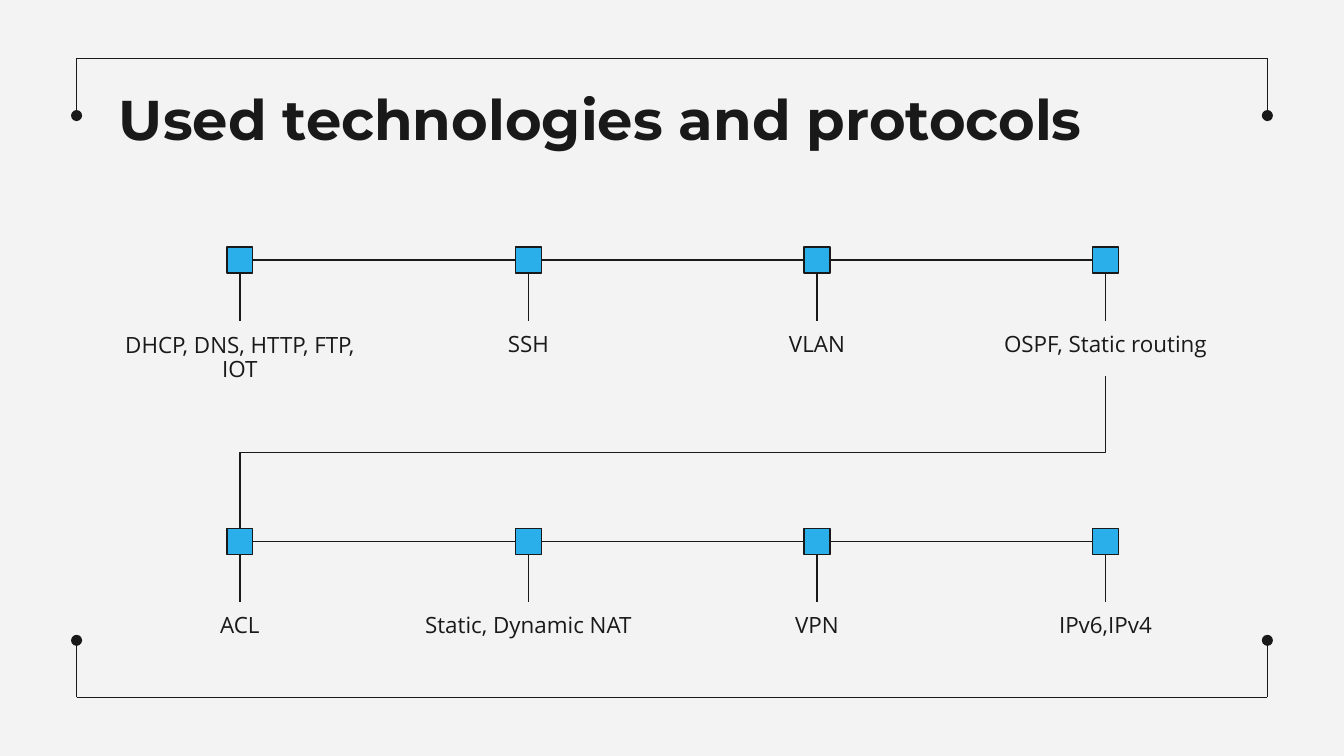
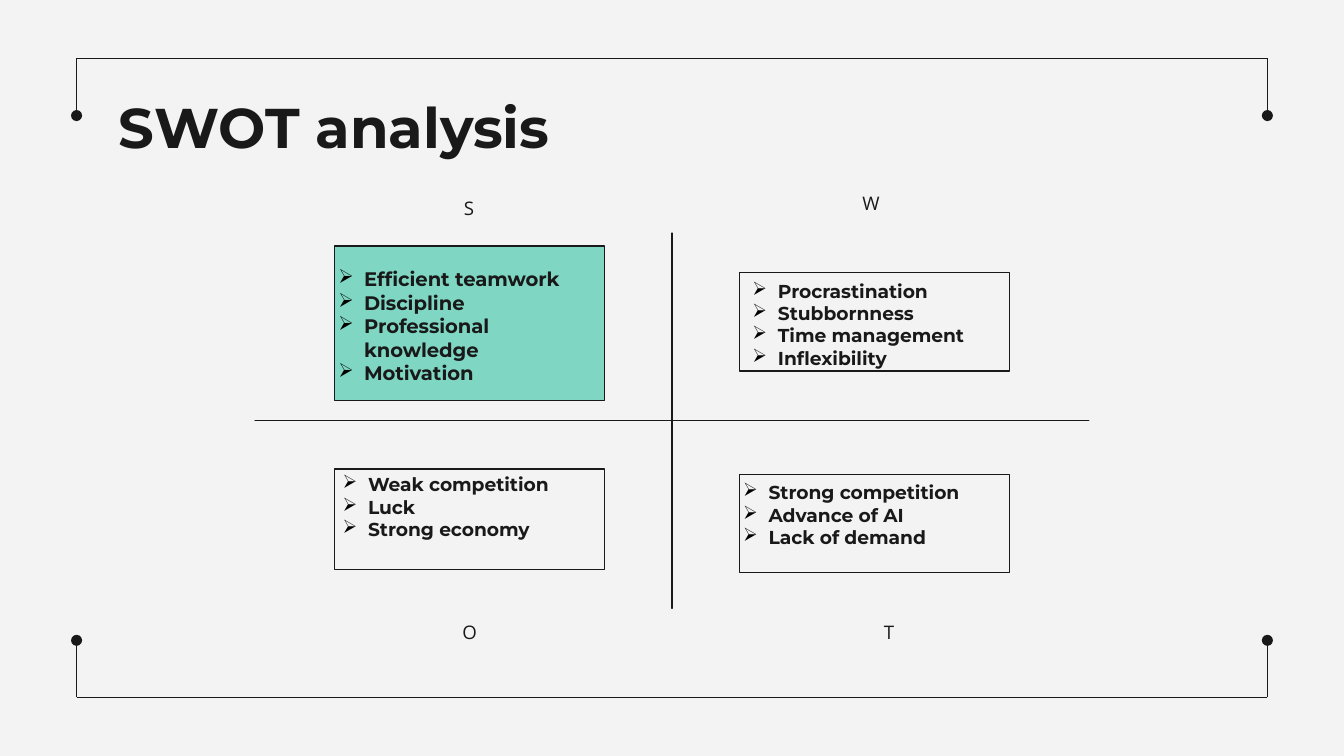
from lxml import etree
from pptx import Presentation
from pptx.dml.color import RGBColor
from pptx.enum.shapes import MSO_CONNECTOR, MSO_SHAPE, MSO_SHAPE_TYPE
from pptx.enum.text import MSO_ANCHOR, MSO_AUTO_SIZE, PP_ALIGN
from pptx.oxml.ns import qn
from pptx.util import Inches, Pt

LINE, ELBOW = MSO_CONNECTOR.STRAIGHT, MSO_CONNECTOR.ELBOW
RECT, PLUS = MSO_SHAPE.RECTANGLE, MSO_SHAPE.MATH_PLUS
WIRE, SHAPE = MSO_SHAPE_TYPE.LINE, MSO_SHAPE_TYPE.AUTO_SHAPE
TOP, FIXED = MSO_ANCHOR.TOP, MSO_AUTO_SIZE.NONE
LEFT, CENTER = PP_ALIGN.LEFT, PP_ALIGN.CENTER

INK = RGBColor(0x19, 0x19, 0x19)
PAPER = RGBColor(0xF3, 0xF3, 0xF3)
BLUE = RGBColor(0x2A, 0xAF, 0xEB)
MINT = RGBColor(0x7F, 0xD6, 0xC3)
HEAD, BODY = "Montserrat", "Open Sans"

prs = Presentation()
prs.slide_width, prs.slide_height = Inches(10), Inches(5.625)
W, H = prs.slide_width, prs.slide_height


def pct(*nums):
    """Turn x, y, x, y percentages of the slide into lengths."""
    return [int(n * (H if i % 2 else W) / 100) for i, n in enumerate(nums)]


def write(slide, area, lines, size, bullet=False):
    """Add a centred label, or a bold list with arrow bullets."""
    frame = slide.shapes.add_textbox(*pct(*area)).text_frame
    frame.word_wrap = True
    pad = 0.05 if bullet else 0.1
    frame.margin_top = frame.margin_bottom = Inches(pad)
    frame.text = "\n".join(lines)
    for para in frame.paragraphs:
        if bullet:
            props = para._p.get_or_add_pPr()
            indent = Inches(0.19)
            props.set("marL", str(indent))
            props.set("indent", str(-indent))
            tint = etree.SubElement(props, qn("a:buClr"))
            etree.SubElement(tint, qn("a:srgbClr"), val="000000")
            etree.SubElement(props, qn("a:buChar"), char="➢")
        else:
            para.line_spacing = 0.9
        para.alignment = LEFT if bullet else CENTER
        para.font.name = HEAD if bullet else BODY
        para.font.size = Pt(size)
        para.font.bold = bullet
        para.font.color.rgb = INK


# Shared background, frame and titles
back = prs.slide_master.background.fill
back.solid()
back.fore_color.rgb = PAPER

titles = [("Used technologies and protocols", 9.42), ("SWOT analysis", 10.5)]
for text, top in titles:
    slide = prs.slides.add_slide(prs.slide_layouts[5])
    for edge, end in [(7.74, 15.29), (92.26, 84.71)]:
        slide.shapes.add_connector(LINE, *pct(5.7, edge, 94.3, edge))
        for x in (5.7, 94.3):
            leg = slide.shapes.add_connector(LINE, *pct(x, edge, x, end))
            stroke = leg._element.spPr.get_or_add_ln()
            etree.SubElement(stroke, qn("a:tailEnd"), type="oval")

    title = slide.shapes.title
    title.left, title.top, title.width, title.height = pct(7.85, top, 84.3, 11.2)
    frame = title.text_frame
    frame.text = text
    frame.word_wrap, frame.auto_size, frame.vertical_anchor = True, FIXED, TOP
    frame.margin_top = frame.margin_bottom = Inches(0.1)
    para = frame.paragraphs[0]
    para.alignment = LEFT
    para.font.name, para.font.size, para.font.bold = HEAD, Pt(30), True
    para.font.color.rgb = INK

tech, swot = prs.slides

# Technologies: two rows of four stops
COL, STEP = 17.85, 21.47
HALF, RISE = 0.96, 1.71
STEM = 8.05
rows = [
    (34.4, ["DHCP, DNS, HTTP, FTP, IOT", "SSH", "VLAN", "OSPF, Static routing"]),
    (71.6, ["ACL", "Static, Dynamic NAT", "VPN", "IPv6,IPv4"]),
]
for y, names in rows:
    for i, name in enumerate(names):
        x = COL + i * STEP
        area = pct(x - HALF, y - RISE, 2 * HALF, 2 * RISE)
        stop = tech.shapes.add_shape(RECT, *area)
        stop.fill.solid()
        stop.fill.fore_color.rgb = BLUE
        write(tech, (x - 9.9, y + STEM, 19.8, 7.3), [name], 12)
        tech.shapes.add_connector(LINE, *pct(x, y + RISE, x, y + STEM))
        if i:
            ends = pct(x - STEP + HALF, y, x - HALF, y)
            tech.shapes.add_connector(LINE, *ends)

# Elbow from the first row's end to the second row's start, turned by 90 degrees
x1, y1, x2, y2 = pct(COL, 49.78, COL + 3 * STEP, rows[1][0] - RISE)
midx, midy = (x1 + x2) // 2, (y1 + y2) // 2
dx, dy = (y2 - y1) // 2, (x2 - x1) // 2
bend = tech.shapes.add_connector(ELBOW, midx - dx, midy - dy, midx + dx, midy + dy)
bend._element.spPr.find(qn("a:xfrm")).set("rot", "5400000")

# SWOT: cross, letters, boxes and lists
cross = swot.shapes.add_shape(PLUS, *pct(7.8, 21.87, 84.4, 67.56))
cross.adjustments[0] = 0
cross.fill.background()

parts = [
    ("S", (24.2, 25.07, 21.4, 7.1), (24.9, 32.53, 20.1, 20.44),
     (24.2, 34.49, 20.8, 21.7), 10.5,
     ["Efficient teamwork", "Discipline", "Professional knowledge", "Motivation"]),
    ("W", (54.1, 24.36, 21.4, 7.1), (55, 36.09, 20.1, 13),
     (55, 36.09, 22.2, 18), 10,
     ["Procrastination", "Stubbornness", "Time management", "Inflexibility"]),
    ("O", (23.1, 81.07, 23.7, 7.1), (24.9, 62.04, 20.1, 13.33),
     (24.5, 61.69, 22.2, 14.9), 10,
     ["Weak competition", "Luck", "Strong economy"]),
    ("T", (54.3, 81.07, 23.7, 7.1), (55, 62.76, 20.1, 13),
     (54.3, 62.76, 22.2, 14.9), 10,
     ["Strong competition", "Advance of AI", "Lack of demand"]),
]
for key, spot, area, field, size, points in parts:
    box = swot.shapes.add_shape(RECT, *pct(*area))
    if key == "S":
        box.fill.solid()
        box.fill.fore_color.rgb = MINT
    else:
        box.fill.background()
    write(swot, spot, [key], 10)
    write(swot, field, points, size, bullet=True)

# Thin dark outline without shadow for every shape and line
for slide in prs.slides:
    for item in slide.shapes:
        if item.shape_type not in (WIRE, SHAPE):
            continue
        item.line.color.rgb = INK
        item.line.width = Pt(0.75)
        if item.shape_type == WIRE:
            etree.SubElement(item._element.spPr, qn("a:effectLst"))
        else:
            item.shadow.inherit = False

prs.save("out.pptx")
